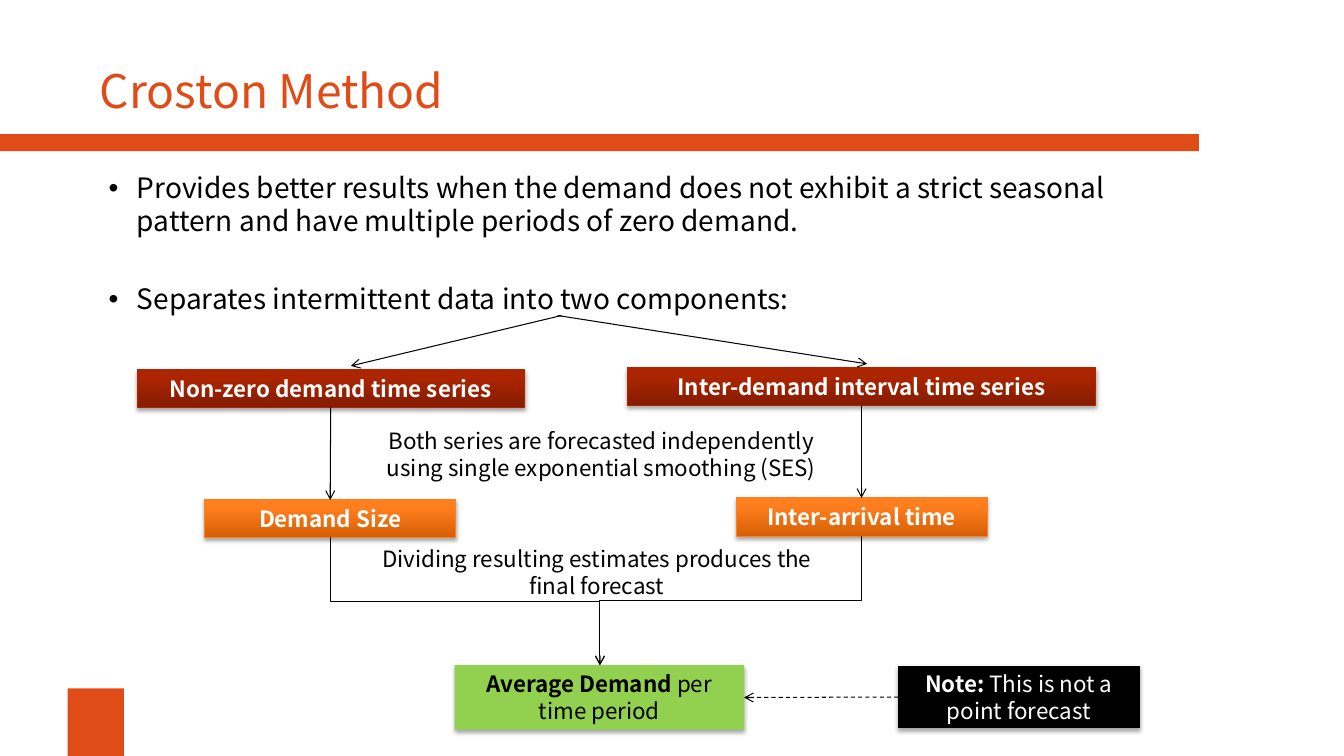
from lxml.etree import SubElement
from pptx import Presentation
from pptx.dml.color import RGBColor
from pptx.enum.dml import MSO_LINE
from pptx.enum.shapes import MSO_CONNECTOR as Link, MSO_SHAPE as Shape
from pptx.enum.text import MSO_ANCHOR as Anchor, PP_ALIGN as Align
from pptx.oxml.ns import qn
from pptx.util import Emu, Pt

COLORS = {
    "accent": "DF4C18", "black": "000000", "white": "FFFFFF", "green": "92D050",
    "red_dark": "851C00", "red": "AC2500", "red_line": "AE2500",
    "orange_dark": "D65F05", "orange": "FF7F1E", "orange_line": "FF8021",
}
FONT = "Noto Sans CJK SC"
TOP, LEFT, BOTTOM, RIGHT = range(4)


def px(value):
    """Turn px (100 to the inch) into EMU."""
    return Emu(round(value * 9144))


def rgb(name):
    return RGBColor.from_string(COLORS[name])


class SlideBuilder:
    def __init__(self, page):
        self.page = page

    def style(self, para, size, color, spacing=None, align=None):
        para.font.name = FONT
        para.font.size = Pt(size)
        para.font.color.rgb = rgb(color)
        para.alignment = align
        if spacing:
            para.line_spacing = Pt(spacing)

    def title(self, text, left, top, width, height):
        box = self.page.shapes.title
        box.left, box.top, box.width, box.height = map(px, (left, top, width, height))
        box.text_frame.text = text
        box.text_frame.vertical_anchor = Anchor.MIDDLE
        self.style(box.text_frame.paragraphs[0], 33, "accent", align=Align.LEFT)

    def bullets(self, items, left, top, width, height):
        """Add bulleted paragraphs from (text, points of space before) pairs."""
        box = self.page.shapes.add_textbox(*map(px, (left, top, width, height)))
        frame = box.text_frame
        frame.word_wrap = True
        for index, (text, gap) in enumerate(items):
            para = frame.add_paragraph() if index else frame.paragraphs[0]
            para.text = text
            self.style(para, 20, "black", 23.6)
            para.space_before = Pt(gap)
            props = para._p.get_or_add_pPr()
            props.set("marL", str(px(28)))
            props.set("indent", str(px(-28)))
            SubElement(props, qn("a:buFont"), typeface="Arial")
            SubElement(props, qn("a:buChar"), char="•")

    def label(self, box, spans, color, anchor=Anchor.TOP):
        """Fill a box with centred text from (text, bold) pairs."""
        box.text_frame.word_wrap = True
        box.text_frame.vertical_anchor = anchor
        para = box.text_frame.paragraphs[0]
        self.style(para, 16, color, 19.3, Align.CENTER)
        for text, bold in spans:
            span = para.add_run()
            span.text = text
            span.font.bold = bold

    def caption(self, text, left, top, width, height):
        box = self.page.shapes.add_textbox(*map(px, (left, top, width, height)))
        self.label(box, [(text, False)], "black")

    def bar(self, fill, left, top, width, height, line=None):
        """Add a rectangle; a pair of colours makes a vertical gradient."""
        box = self.page.shapes.add_shape(
            Shape.RECTANGLE, *map(px, (left, top, width, height)))
        box.shadow.inherit = False
        if isinstance(fill, tuple):
            box.fill.gradient()
            box.fill.gradient_angle = 90
            for stop, color, place in zip(box.fill.gradient_stops, fill, (0, 0.8)):
                stop.color.rgb = rgb(color)
                stop.position = place
        else:
            box.fill.solid()
            box.fill.fore_color.rgb = rgb(fill)
        if line:
            box.line.color.rgb = rgb(line)
            box.line.width = Pt(0.75)
        else:
            box.line.fill.background()
        return box

    def node(self, spans, fill, place, color="white", line=None, anchor=Anchor.TOP):
        """Add a labelled rectangle with a soft shadow below it."""
        box = self.bar(fill, *place, line=line)
        effects = box._element.spPr.find(qn("a:effectLst"))
        shadow = SubElement(effects, qn("a:outerShdw"), blurRad=str(Pt(3.1)),
                            dist=str(Pt(1.8)), dir="5400000", rotWithShape="0")
        tone = SubElement(shadow, qn("a:srgbClr"), val=COLORS["black"])
        SubElement(tone, qn("a:alpha"), val="35000")
        self.label(box, spans, color, anchor)
        return box

    def arrow(self, start, end, kind=Link.STRAIGHT, dashed=False):
        link = self.page.shapes.add_connector(kind, *map(px, (*start, *end)))
        link.line.color.rgb = rgb("black")
        link.line.width = Pt(0.75)
        if dashed:
            link.line.dash_style = MSO_LINE.DASH
        props = link._element.spPr
        SubElement(props.find(qn("a:ln")), qn("a:tailEnd"), type="arrow")
        SubElement(props, qn("a:effectLst"))
        return link

    def join(self, source, source_side, target, target_side, dashed=False):
        link = self.arrow((0, 0), (0, 0), dashed=dashed)
        link.begin_connect(source, source_side)
        link.end_connect(target, target_side)

    def elbow(self, start, end):
        """Add an arrow going down, sideways, then down: a turned elbow connector."""
        (x1, y1), (x2, y2) = start, end
        middle_x, middle_y = (x1 + x2) / 2, (y1 + y2) / 2
        half_drop, half_run = (y2 - y1) / 2, abs(x2 - x1) / 2
        side = 1 if x2 > x1 else -1
        link = self.arrow((middle_x + side * half_drop, middle_y - half_run),
                          (middle_x - side * half_drop, middle_y + half_run), Link.ELBOW)
        turn = 270 if side > 0 else 90
        link._element.spPr.find(qn("a:xfrm")).set("rot", str(turn * 60000))


def main():
    deck = Presentation()
    deck.slide_width, deck.slide_height = px(1333), px(750)
    page = deck.slides.add_slide(deck.slide_layouts[5])
    builder = SlideBuilder(page)

    builder.bar("accent", 67, 683, 56, 67)
    builder.bar("accent", 0, 133, 1189, 17)
    builder.title("Croston Method", 89, 27, 1100, 125)
    builder.bullets([
        ("Provides better results when the demand does not exhibit a strict seasonal "
         "pattern and have multiple periods of zero demand.", 4),
        ("Separates intermittent data into two components:", 32),
    ], 98, 165, 1091, 519)

    branches = [
        ("Non-zero demand time series", (136, 367, 384, 37),
         "Demand Size", (203, 496, 249, 37), (557, 313), (348, 363)),
        ("Inter-demand interval time series", (622, 365, 465, 37),
         "Inter-arrival time", (730, 494, 249, 38), (553, 313), (860, 361)),
    ]
    for series, series_place, estimate, estimate_place, start, end in branches:
        series_box = builder.node([(series, True)], ("red_dark", "red"),
                                  series_place, line="red_line")
        estimate_box = builder.node([(estimate, True)], ("orange_dark", "orange"),
                                    estimate_place, line="orange_line")
        builder.arrow(start, end)
        builder.join(series_box, BOTTOM, estimate_box, TOP)
        left, top, width, height = estimate_place
        builder.elbow((left + width / 2, top + height), (595, 660))

    builder.caption("Both series are forecasted independently using single "
                    "exponential smoothing (SES)", 361, 419, 471, 64)
    builder.caption("Dividing resulting estimates produces the final forecast",
                    360, 536, 464, 64)
    average = builder.node([("Average Demand ", True), ("per time period", False)],
                           "green", (451, 660, 287, 64), color="black")
    note = builder.node([("Note:", True), (" This is not a point forecast", False)],
                        "black", (891, 661, 239, 61), line="black", anchor=Anchor.MIDDLE)
    builder.join(note, LEFT, average, RIGHT, dashed=True)
    deck.save("out.pptx")


if __name__ == "__main__":
    main()
